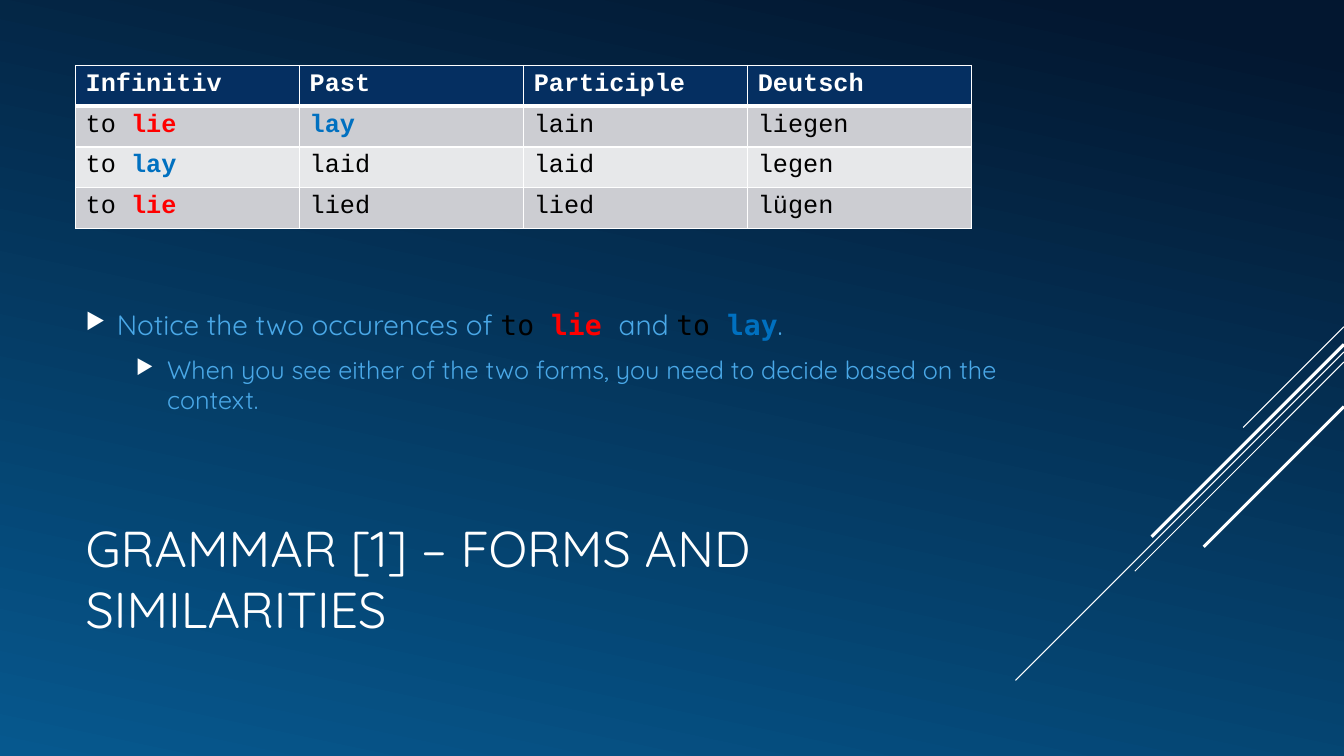
from lxml import etree
from pptx import Presentation, util as u
from pptx.dml.color import RGBColor
from pptx.enum import shapes, text
from pptx.oxml import ns

# Grid of 160 columns by 90 rows, each cell 1/12 inch
CELL = u.Inches(1) / 12
COLUMNS, ROWS = 160, 90
LEFT, TEXT_WIDTH = 9, 112

WHITE, BLACK, RED, BLUE, SKY = "FFFFFF", "000000", "FF0000", "0070C0", "4AA8E7"
NAVY, GREY, LIGHT_GREY = "052F61", "CCCDD2", "E7E8EA"
SANS, MONO, TABLE_FONT = "Quicksand", "DejaVu Sans Mono", "Courier New"

# Each cell lists its (text, colour) pieces; coloured words are bold
VERBS = [
    [[("to ", BLACK), ("lie", RED)], [("lay", BLUE)], [("lain", BLACK)], [("liegen", BLACK)]],
    [[("to ", BLACK), ("lay", BLUE)], [("laid", BLACK)], [("laid", BLACK)], [("legen", BLACK)]],
    [[("to ", BLACK), ("lie", RED)], [("lied", BLACK)], [("lied", BLACK)], [("lügen", BLACK)]],
]
HEADINGS = ["Infinitiv", "Past", "Participle", "Deutsch"]

# Diagonal rays from the right edge: starting row, run in cells, line width
RAYS = [(38.9, 12, 0.75), (41.9, 39.1, 0.75), (43.1, 24.9, 0.75),
        (41, 22.9, 2.25), (48.4, 16.7, 2.25)]


def grid(*cells):
    return [u.Emu(round(cell * CELL)) for cell in cells]


def colour(hex_string):
    return RGBColor.from_string(hex_string)


def add_element(parent, tag, **attributes):
    return etree.SubElement(parent, ns.qn(tag), attributes)


def add_run(paragraph, words, font_name, size, hex_string, bold=False):
    run = paragraph.add_run()
    run.text = words
    run.font.name, run.font.size, run.font.bold = font_name, u.Pt(size), bold
    run.font.color.rgb = colour(hex_string)


def paint_background(slide):
    fill = slide.background.fill
    fill.gradient()
    fill.gradient_angle = 258
    for stop, position, hex_string in zip(fill.gradient_stops, (0.05, 1), ("031730", "06588E")):
        stop.position = position
        stop.color.rgb = colour(hex_string)


def add_ray(slide, row, run, width):
    ends = grid(COLUMNS, row, COLUMNS - run, row + run)
    ray = slide.shapes.add_connector(shapes.MSO_CONNECTOR.STRAIGHT, *ends)
    ray.line.color.rgb = colour(WHITE)
    ray.line.width = u.Pt(width)
    add_element(ray._element.spPr, "a:effectLst")


def format_title(slide, words):
    title = slide.shapes.title
    title.left, title.top, title.width, title.height = grid(LEFT, 58.9, TEXT_WIDTH, 19.8)
    frame = title.text_frame
    frame.text = words
    frame.word_wrap = True
    frame.auto_size = text.MSO_AUTO_SIZE.NONE
    frame.vertical_anchor = text.MSO_ANCHOR.MIDDLE
    paragraph = frame.paragraphs[0]
    paragraph.alignment = text.PP_ALIGN.LEFT
    font = paragraph.runs[0].font
    font.name, font.size, font.color.rgb = SANS, u.Pt(36), colour(WHITE)


def add_bullet(paragraph, level):
    paragraph.level = level
    properties = paragraph._p.get_or_add_pPr()
    properties.set("marL", str(u.Inches(0.31 + 0.5 * level)))
    properties.set("indent", str(u.Inches(-0.31)))
    add_element(add_element(properties, "a:buClr"), "a:srgbClr", val=WHITE)
    add_element(properties, "a:buSzPct", val="80000")
    add_element(properties, "a:buChar", char="▶")
    paragraph.space_after = u.Pt(6)


def add_notes_on_forms(slide):
    frame = slide.shapes.add_textbox(*grid(LEFT, 29.6, TEXT_WIDTH, 26.8)).text_frame
    frame.word_wrap = True
    frame.vertical_anchor = text.MSO_ANCHOR.MIDDLE

    notice = frame.paragraphs[0]
    add_bullet(notice, 0)
    for words, font_name, hex_string in [
            ("Notice the two occurences of ", SANS, SKY), ("to ", MONO, BLACK),
            ("lie ", MONO, RED), ("and ", SANS, SKY), ("to ", MONO, BLACK),
            ("lay", MONO, BLUE), (".", SANS, SKY)]:
        add_run(notice, words, font_name, 20, hex_string, hex_string in (RED, BLUE))

    advice = frame.add_paragraph()
    add_bullet(advice, 1)
    advice.space_before = u.Pt(3.6)
    add_run(advice, "When you see either of the two forms, you need to decide "
            "based on the context.", SANS, 18, SKY)


def add_border(cell, side, width):
    properties = cell._tc.get_or_add_tcPr()
    line = add_element(properties, f"a:ln{side}", w=str(u.Pt(width)))
    add_element(add_element(line, "a:solidFill"), "a:srgbClr", val=WHITE)


def fill_cell(cell, pieces, background, top, bottom):
    for side, width in (("L", 1), ("R", 1), ("T", top), ("B", bottom)):
        add_border(cell, side, width)
    cell.fill.solid()
    cell.fill.fore_color.rgb = colour(background)
    for words, hex_string in pieces:
        add_run(cell.text_frame.paragraphs[0], words, TABLE_FONT, 18,
                hex_string, hex_string != BLACK)


def add_verb_table(slide):
    rows = [[[(heading, WHITE)] for heading in HEADINGS]] + VERBS
    box = grid(LEFT, 7.8, 106.7, 19.4)
    table = slide.shapes.add_table(len(rows), len(HEADINGS), *box).table
    table.horz_banding = False
    for index, row in enumerate(rows):
        background = NAVY if index == 0 else (LIGHT_GREY, GREY)[index % 2]
        top, bottom = (3 if index == 1 else 1), (3 if index == 0 else 1)
        for column, pieces in enumerate(row):
            fill_cell(table.cell(index, column), pieces, background, top, bottom)


def main():
    presentation = Presentation()
    presentation.slide_width, presentation.slide_height = grid(COLUMNS, ROWS)
    slide = presentation.slides.add_slide(presentation.slide_layouts[5])

    # Backdrop
    paint_background(slide)
    for ray in RAYS:
        add_ray(slide, *ray)

    # Content
    format_title(slide, "GRAMMAR [1] – FORMS AND SIMILARITIES")
    add_notes_on_forms(slide)
    add_verb_table(slide)

    presentation.save("out.pptx")


if __name__ == "__main__":
    main()
